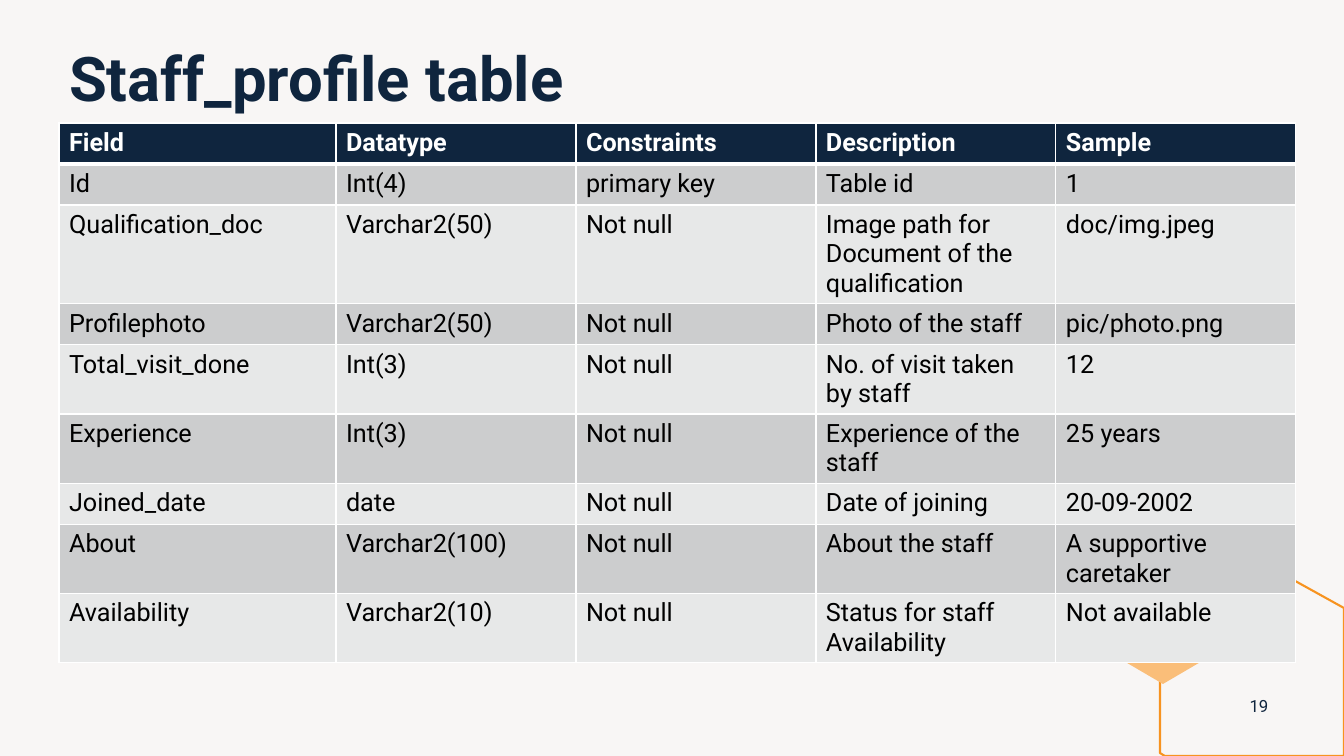
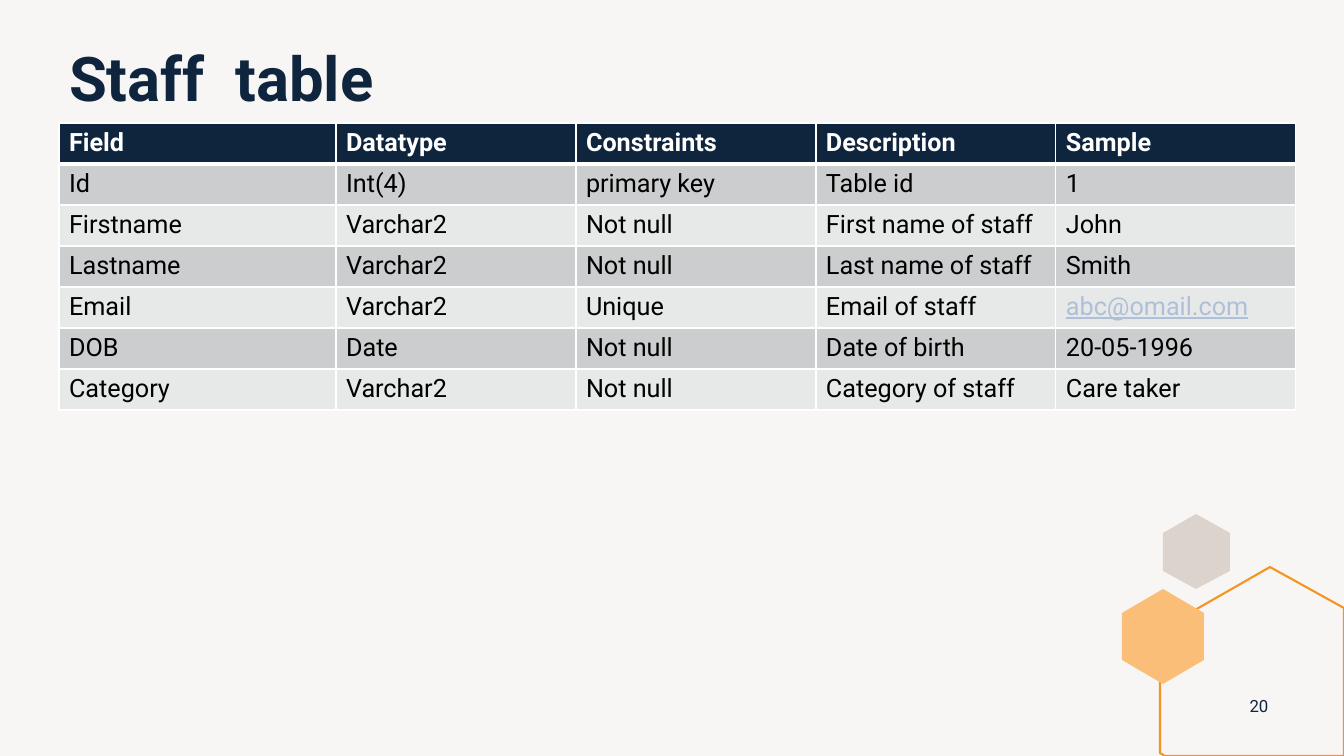
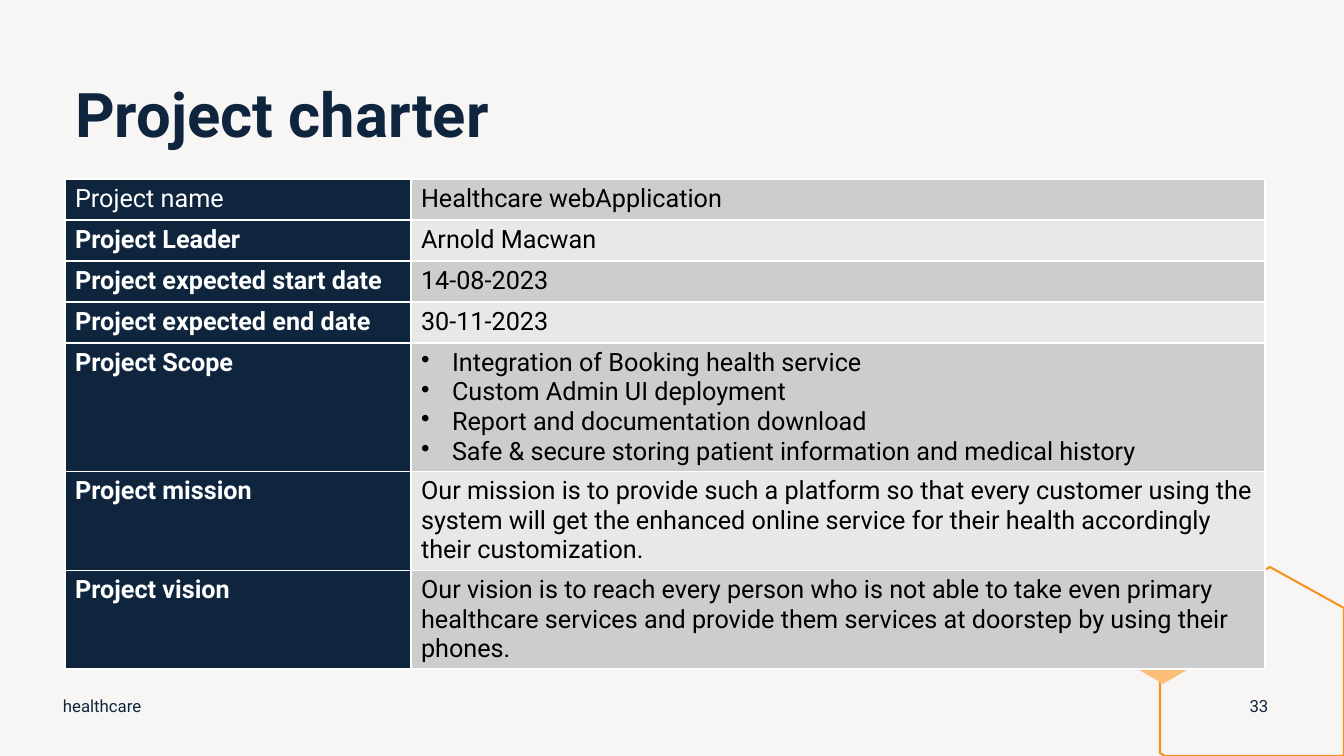
from pptx import Presentation
from pptx.util import Pt
from pptx.dml.color import RGBColor
from pptx.enum.text import MSO_ANCHOR, MSO_AUTO_SIZE, PP_ALIGN
from pptx.oxml import parse_xml
from pptx.oxml.ns import nsdecls
from lxml.etree import SubElement

PX = 12192000 / 1344
FONT = "Roboto"
HUES = {
    "page": "F8F6F5", "navy": "0F253E", "white": "FFFFFF", "black": "000000",
    "dark": "CCCDCE", "light": "E7E8E8", "link": "AEC0D9",
    "sand": "DCD3CC", "line": "F79320", "peach": "FABE79",
}
HEXES = [
    ("sand", None, [(1196, 514), (1230, 533), (1230, 571),
                    (1196, 589), (1163, 571), (1163, 533)]),
    (None, "line", [(1270, 567), (1344, 608), (1344, 756),
                    (1165, 756), (1160, 753), (1160, 630)]),
    ("peach", None, [(1163, 589), (1204, 613), (1204, 660),
                     (1163, 684), (1122, 660), (1122, 613)]),
]
HEAD = ["Field", "Datatype", "Constraints", "Description", "Sample"]
KEY = ["Id", "Int(4)", "primary key", "Table id", "1"]
MAIL = "abc@omail.com"
WIDE = [277] + [240] * 4
ROW = 41

PAGES = [
    {"title": "Staff_profile table", "spot": (59, 43), "top": 123,
     "cols": WIDE, "head": True, "num": "19", "foot": None, "rows": [
         HEAD,
         KEY,
         ["Qualification_doc", "Varchar2(50)", "Not null",
          "Image path for Document of the qualification", "doc/img.jpeg"],
         ["Profilephoto", "Varchar2(50)", "Not null",
          "Photo of the staff", "pic/photo.png"],
         ["Total_visit_done", "Int(3)", "Not null",
          "No. of visit taken by staff", "12"],
         ["Experience", "Int(3)", "Not null",
          "Experience of the staff", "25 years"],
         ["Joined_date", "date", "Not null", "Date of joining", "20-09-2002"],
         ["About", "Varchar2(100)", "Not null",
          "About the staff", "A supportive caretaker"],
         ["Availability", "Varchar2(10)", "Not null",
          "Status for staff Availability", "Not available"],
     ]},
    {"title": "Staff  table", "spot": (59, 43), "top": 123,
     "cols": WIDE, "head": True, "num": "20", "foot": None, "rows": [
         HEAD,
         KEY,
         ["Firstname", "Varchar2", "Not null", "First name of staff", "John"],
         ["Lastname", "Varchar2", "Not null", "Last name of staff", "Smith"],
         ["Email", "Varchar2", "Unique", "Email of staff", MAIL],
         ["DOB", "Date", "Not null", "Date of birth", "20-05-1996"],
         ["Category", "Varchar2", "Not null", "Category of staff", "Care taker"],
     ]},
    {"title": "Project charter", "spot": (65, 79), "top": 179,
     "cols": [346, 854], "head": False, "num": "33", "foot": "healthcare",
     "rows": [
         ["Project name", "Healthcare webApplication"],
         ["Project Leader", "Arnold Macwan"],
         ["Project expected start date", "14-08-2023"],
         ["Project expected end date", "30-11-2023"],
         ["Project Scope", [
             "Integration of Booking health service",
             "Custom Admin UI deployment",
             "Report and documentation download",
             "Safe & secure storing patient information and medical history"]],
         ["Project mission",
          "Our mission is to provide such a platform so that every customer "
          "using the system will get the enhanced online service for their "
          "health accordingly their customization."],
         ["Project vision",
          "Our vision is to reach every person who is not able to take even "
          "primary healthcare services and provide them services at doorstep "
          "by using their phones."],
     ]},
]


def px(*nums):
    return [round(n * PX) for n in nums]


def write(para, text, size, hue, bold=False):
    run = para.add_run()
    run.text = text
    run.font.name = FONT
    run.font.size = Pt(size)
    run.font.bold = bold
    run.font.color.rgb = RGBColor.from_string(HUES[hue])
    return run


deck = Presentation()
deck.slide_width, deck.slide_height = px(1344, 756)
ground = deck.slide_master.background.fill
ground.solid()
ground.fore_color.rgb = RGBColor.from_string(HUES["page"])

for page in PAGES:
    slide = deck.slides.add_slide(deck.slide_layouts[5])
    shapes = slide.shapes

    for fill, edge, dots in HEXES:
        pen = shapes.build_freeform(*dots[0], scale=PX)
        pen.add_line_segments(dots[1:], close=True)
        tile = pen.convert_to_shape()
        tile.shadow.inherit = False
        if fill:
            tile.fill.solid()
            tile.fill.fore_color.rgb = RGBColor.from_string(HUES[fill])
            tile.line.fill.background()
        else:
            tile.fill.background()
            tile.line.color.rgb = RGBColor.from_string(HUES[edge])
            tile.line.width = Pt(1.5)

    left, top = page["spot"]
    title = shapes.title
    title.left, title.top, title.width, title.height = px(left, top, 1200, 156)
    frame = title.text_frame
    frame.word_wrap = True
    frame.auto_size = MSO_AUTO_SIZE.NONE
    frame.vertical_anchor = MSO_ANCHOR.TOP
    para = frame.paragraphs[0]
    para.alignment = PP_ALIGN.LEFT
    para.line_spacing = 0.9
    write(para, page["title"], 44, "navy", True)

    rows, cols = page["rows"], page["cols"]
    box = px(left, page["top"], sum(cols), ROW * len(rows))
    table = shapes.add_table(len(rows), len(cols), *box).table
    table.first_row = page["head"]
    table.first_col = not page["head"]
    table.horz_banding = False
    for col, width in zip(table.columns, cols):
        col.width = px(width)[0]
    for r, row in enumerate(rows):
        table.rows[r].height = px(ROW)[0]
        for c, item in enumerate(row):
            cell = table.cell(r, c)
            head = r == 0 if page["head"] else c == 0
            band = "dark" if (r % 2 == 1) == page["head"] else "light"
            props = cell._tc.get_or_add_tcPr()
            for side in "LRTB":
                thick = page["head"] and (r, side) in [(0, "B"), (1, "T")]
                props.append(parse_xml(
                    f'<a:ln{side} {nsdecls("a")} w="{Pt(3 if thick else 1)}">'
                    f'<a:solidFill><a:srgbClr val="{HUES["white"]}"/>'
                    f'</a:solidFill></a:ln{side}>'))
            cell.fill.solid()
            cell.fill.fore_color.rgb = RGBColor.from_string(
                HUES["navy" if head else band])
            listed = isinstance(item, list)
            frame = cell.text_frame
            for i, text in enumerate(item if listed else [item]):
                para = frame.add_paragraph() if i else frame.paragraphs[0]
                if listed:
                    form = para._p.get_or_add_pPr()
                    step = px(31)[0]
                    form.set("marL", str(step))
                    form.set("indent", str(-step))
                    mark = form.tag.replace("pPr", "buChar")
                    SubElement(form, mark).set("char", "•")
                hue = "white" if head else "link" if text == MAIL else "black"
                bold = head and (page["head"] or r > 0)
                run = write(para, text, 18, hue, bold)
                if text == MAIL:
                    run.font.underline = True

    for text, x, width, side in [
        (page["foot"], 53, 454, PP_ALIGN.LEFT),
        (page["num"], 1234, 50, PP_ALIGN.CENTER),
    ]:
        if text:
            frame = shapes.add_textbox(*px(x, 686, width, 40)).text_frame
            frame.word_wrap = True
            frame.vertical_anchor = MSO_ANCHOR.MIDDLE
            frame.paragraphs[0].alignment = side
            write(frame.paragraphs[0], text, 12, "navy")

deck.save("out.pptx")
